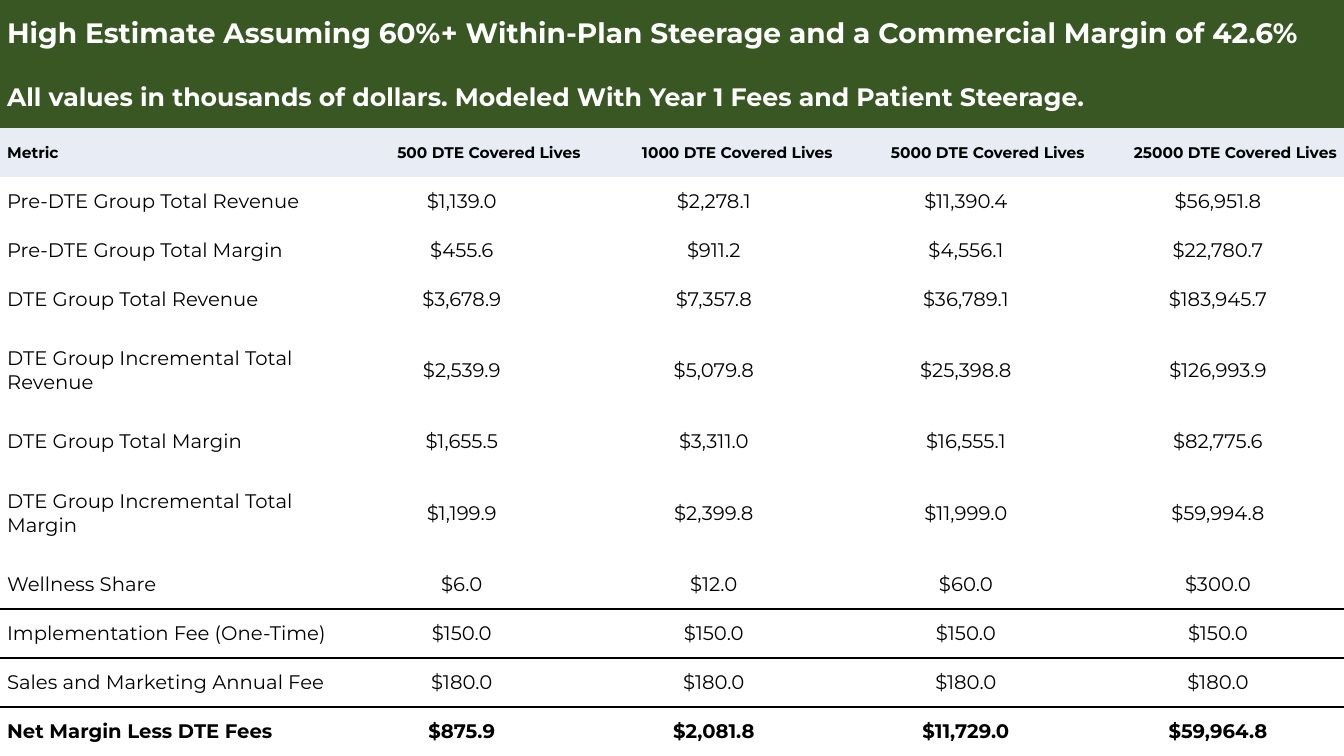
from dataclasses import dataclass

from lxml import etree
from pptx import Presentation
from pptx.dml.color import RGBColor
from pptx.enum.text import MSO_ANCHOR as Anchor, PP_ALIGN as Align
from pptx.oxml.ns import qn
from pptx.util import Inches, Pt


@dataclass(frozen=True)
class Theme:
    font: str = "Montserrat"
    green: str = "385723"
    pale: str = "E7ECF5"
    white: str = "FFFFFF"
    black: str = "000000"
    title: int = 20
    subtitle: int = 18
    heading: int = 11
    body: int = 14
    rule: int = 1


theme = Theme()


def write_cell(cell, text, size, color, bold, align, fill=None):
    cell.margin_left = cell.margin_right = cell.margin_top = cell.margin_bottom = 0
    cell.vertical_anchor = Anchor.MIDDLE
    if fill:
        cell.fill.solid()
        cell.fill.fore_color.rgb = RGBColor.from_string(fill)
    else:
        cell.fill.background()
    paragraph = cell.text_frame.paragraphs[0]
    paragraph.text = text
    paragraph.alignment = align
    properties = paragraph._p.get_or_add_pPr()
    for side in ("marL", "marR"):
        properties.set(side, str(Inches(0.07)))
    properties.set("indent", "0")
    font = paragraph.runs[0].font
    font.name, font.size, font.bold = theme.font, Pt(size), bold
    font.color.rgb = RGBColor.from_string(color)


def rule_cell(cell, edge):
    line = etree.Element(qn(f"a:{edge}"), w=str(Pt(theme.rule)))
    solid = etree.SubElement(line, qn("a:solidFill"))
    etree.SubElement(solid, qn("a:srgbClr"), val=theme.black)
    cell._tc.get_or_add_tcPr().insert(0, line)


banners = [
    ("High Estimate Assuming 60%+ Within-Plan Steerage and a Commercial Margin of 42.6%", theme.title),
    ("All values in thousands of dollars. Modeled With Year 1 Fees and Patient Steerage.", theme.subtitle),
]
headings = ["Metric"] + [f"{lives} DTE Covered Lives" for lives in (500, 1000, 5000, 25000)]
metrics = [
    ("Pre-DTE Group Total Revenue", 1139.0, 2278.1, 11390.4, 56951.8),
    ("Pre-DTE Group Total Margin", 455.6, 911.2, 4556.1, 22780.7),
    ("DTE Group Total Revenue", 3678.9, 7357.8, 36789.1, 183945.7),
    ("DTE Group Incremental Total Revenue", 2539.9, 5079.8, 25398.8, 126993.9),
    ("DTE Group Total Margin", 1655.5, 3311.0, 16555.1, 82775.6),
    ("DTE Group Incremental Total Margin", 1199.9, 2399.8, 11999.0, 59994.8),
    ("Wellness Share", 6.0, 12.0, 60.0, 300.0),
    ("Implementation Fee (One-Time)", 150.0, 150.0, 150.0, 150.0),
    ("Sales and Marketing Annual Fee", 180.0, 180.0, 180.0, 180.0),
    ("Net Margin Less DTE Fees", 875.9, 2081.8, 11729.0, 59964.8),
]
ruled_below = ("Wellness Share", "Sales and Marketing Annual Fee")

deck = Presentation()
deck.slide_width, deck.slide_height = Inches(13.33), Inches(7.5)
slide = deck.slides.add_slide(deck.slide_layouts[6])

first_metric = len(banners) + 1
estimate_frame = slide.shapes.add_table(
    first_metric + len(metrics), len(headings), 0, 0, deck.slide_width, deck.slide_height
)
estimate = estimate_frame.table
estimate.first_row = estimate.horz_banding = False
estimate._tbl.tblPr.find(qn("a:tableStyleId")).text = "{2D5ABB26-0587-4C30-8999-92F81FD0307C}"

for column, width in zip(estimate.columns, [3.33] + [2.5] * 4):
    column.width = Inches(width)

tall_rows = {0: 0.67, 1: 0.6}
for number, metric in enumerate(metrics, first_metric):
    if "Incremental" in metric[0]:
        tall_rows[number] = 0.93
plain_height = (7.5 - sum(tall_rows.values())) / (len(estimate.rows) - len(tall_rows))
for number, row in enumerate(estimate.rows):
    row.height = Inches(tall_rows.get(number, plain_height))

for number, (banner, size) in enumerate(banners):
    banner_cell = estimate.cell(number, 0)
    banner_cell.merge(estimate.cell(number, len(headings) - 1))
    write_cell(banner_cell, banner, size, theme.white, True, Align.LEFT, theme.green)

for position, heading in enumerate(headings):
    align = Align.RIGHT if position else Align.LEFT
    write_cell(estimate.cell(len(banners), position), heading, theme.heading,
               theme.black, True, align, theme.pale)

for number, (metric, *amounts) in enumerate(metrics, first_metric):
    is_net = metric.startswith("Net")
    texts = [metric] + [f"${amount:,.1f}" for amount in amounts]
    for position, text in enumerate(texts):
        align = Align.CENTER if position else Align.LEFT
        write_cell(estimate.cell(number, position), text, theme.body, theme.black, is_net, align)
        if metric in ruled_below:
            rule_cell(estimate.cell(number, position), "lnB")
            rule_cell(estimate.cell(number + 1, position), "lnT")

deck.save("out.pptx")
